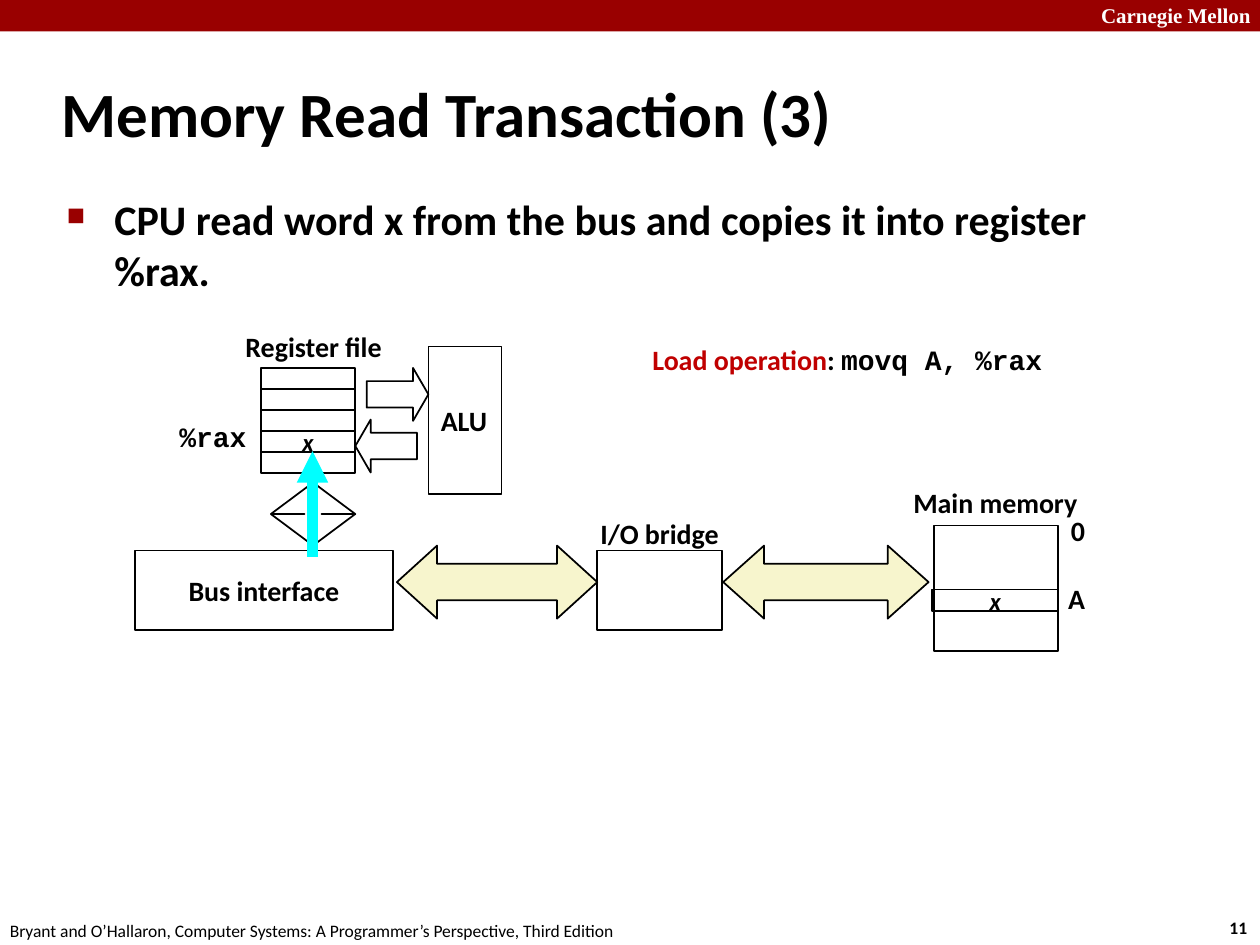
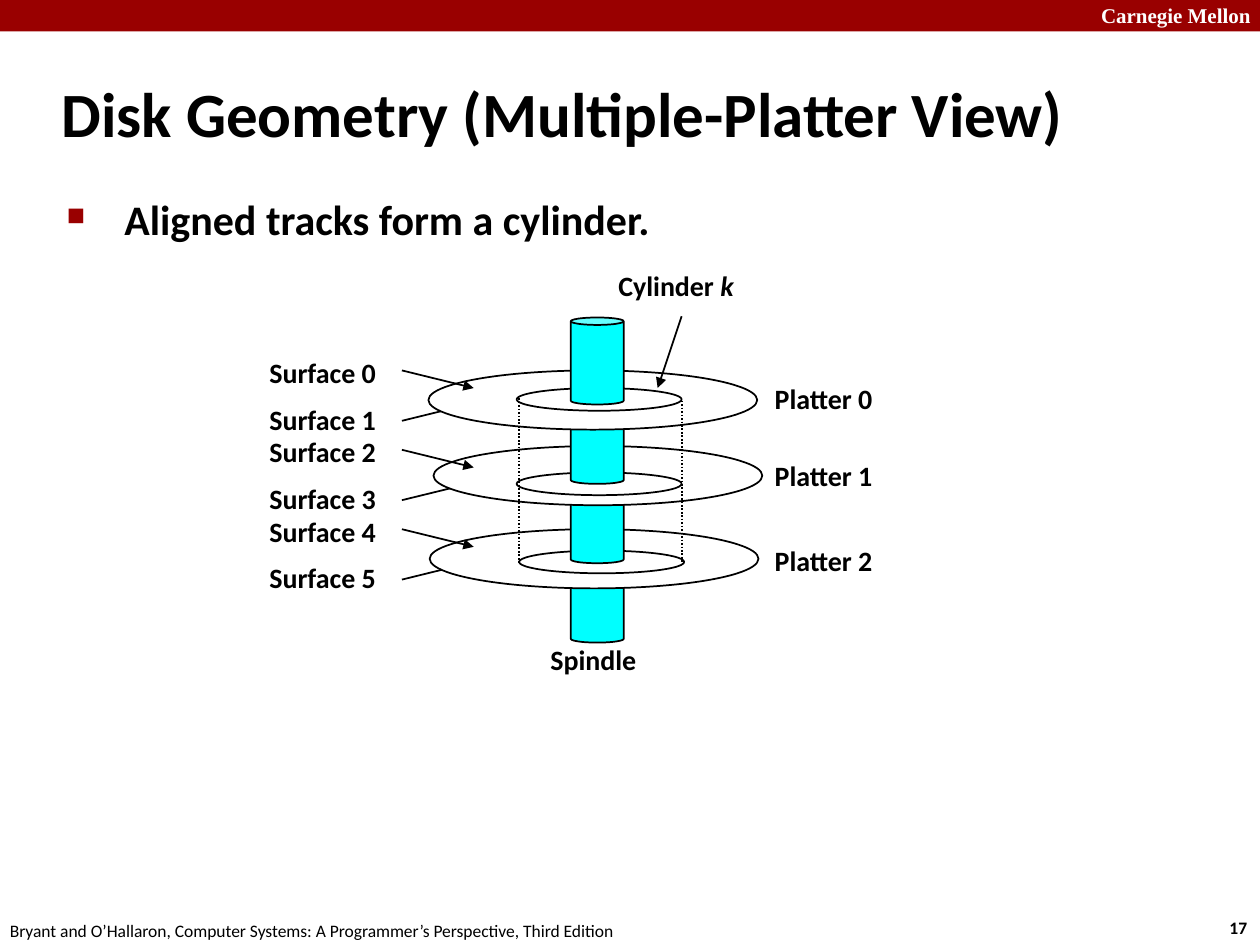
from lxml import etree
from pptx import Presentation, util as u
from pptx.dml.color import RGBColor
from pptx.enum import dml, shapes, text as t
from pptx.oxml.ns import qn

BLACK, WHITE, RED, CYAN, CREAM = "000000", "FFFFFF", "990000", "00FFFF", "F7F5CD"
KIND = shapes.MSO_SHAPE
LABEL = 0.37  # height of a diagram label
color_of = RGBColor.from_string


def write(page, words, place=None, box=None, size=16, font="Calibri", color=BLACK,
          bold=True, italic=False, align="LEFT", anchor="MIDDLE", wrap=False, bullet_indent=None):
    """Write words, or (words, changes) spans, into a box or a new text box at place."""
    if box is None:
        box = page.shapes.add_textbox(*map(u.Inches, place))
    frame = box.text_frame
    frame.word_wrap = wrap
    frame.auto_size = t.MSO_AUTO_SIZE.NONE
    frame.vertical_anchor = getattr(t.MSO_ANCHOR, anchor)
    para = frame.paragraphs[0]
    para.alignment = getattr(t.PP_ALIGN, align)
    if bullet_indent:
        props = para._p.get_or_add_pPr()
        props.set("marL", str(u.Inches(bullet_indent)))
        props.set("indent", str(-u.Inches(bullet_indent)))
        mark_color = etree.SubElement(props, qn("a:buClr"))
        etree.SubElement(mark_color, qn("a:srgbClr"), val=RED)
        etree.SubElement(props, qn("a:buSzPct"), val="60000")
        etree.SubElement(props, qn("a:buChar"), char="■")
    spans = [(words, {})] if isinstance(words, str) else words
    for content, changes in spans:
        span = para.add_run()
        span.text = content
        span.font.size = u.Pt(size)
        span.font.name = changes.get("font", font)
        span.font.bold = bold
        span.font.italic = changes.get("italic", italic)
        span.font.color.rgb = color_of(changes.get("color", color))


def draw(page, kind, place, fill=None, line=BLACK, weight=1, adjust=(), dash=None, head=False):
    """Draw a shape at left, top, width, height, or a "line" from x, y to x, y."""
    lengths = map(u.Inches, place)
    if kind == "line":
        item = page.shapes.add_connector(shapes.MSO_CONNECTOR.STRAIGHT, *lengths)
        etree.SubElement(item._element.spPr, qn("a:effectLst"))
    else:
        item = page.shapes.add_shape(kind, *lengths)
        item.shadow.inherit = False
        for index, value in enumerate(adjust):
            item.adjustments[index] = value
        if fill:
            item.fill.solid()
            item.fill.fore_color.rgb = color_of(fill)
        else:
            item.fill.background()
    if line:
        item.line.color.rgb = color_of(line)
        item.line.width = u.Pt(weight)
        if dash:
            item.line.dash_style = dash
        if head:
            etree.SubElement(item.line._get_or_add_ln(), qn("a:tailEnd"), type="triangle")
    else:
        item.line.fill.background()
    return item


deck = Presentation()
deck.slide_width, deck.slide_height = u.Inches(10), u.Inches(7.5)

# Shared band, footer, title and bullet
pages = []
for number, title, statement, indent in [
    ("11", "Memory Read Transaction (3)",
     "CPU read word x from the bus and copies it into register %rax.", 0.38),
    ("17", "Disk Geometry (Multiple-Platter View)", "Aligned tracks form a cylinder.", 0.46),
]:
    page = deck.slides.add_slide(deck.slide_layouts[6])
    draw(page, KIND.RECTANGLE, (0, 0, 10, 0.25), fill=RED, line=None)
    write(page, "Carnegie Mellon", (8.64, -0.03, 1.43, 0.3), size=12,
          font="Times New Roman", color=WHITE, wrap=True)
    write(page, number, (9.66, 7.23, 0.37, 0.27), size=10)
    write(page, "Bryant and O’Hallaron, Computer Systems: A Programmer’s Perspective, Third Edition",
          (-0.02, 7.25, 5.08, 0.27), size=10, bold=False)
    write(page, title, (0.39, 0.48, 8.3, 0.83), size=36, wrap=True)
    write(page, statement, (0.43, 1.49, 8.64, 5.44), size=24, anchor="TOP",
          wrap=True, bullet_indent=indent)
    pages.append(page)
memory_page, disk_page = pages

# Memory read: buses and I/O bridge
for left, width, tip in [(5.74, 1.63, 0.56), (3.15, 1.59, 0.55)]:
    draw(memory_page, KIND.LEFT_RIGHT_ARROW, (left, 4.33, width, 0.58), fill=CREAM,
         adjust=(0.5, tip))
draw(memory_page, KIND.RECTANGLE, (4.74, 4.37, 0.99, 0.63))

# Register file, with x in the fourth register
for row in range(5):
    register = draw(memory_page, KIND.RECTANGLE, (2.07, 2.92 + row / 6, 0.75, 0.17))
    if row == 3:
        write(memory_page, "x", box=register, size=14, italic=True, align="CENTER")

# ALU and its two arrows
draw(memory_page, KIND.RIGHT_ARROW, (2.91, 2.92, 0.49, 0.42), adjust=(0.5, 0.29))
draw(memory_page, KIND.LEFT_ARROW, (2.82, 3.33, 0.49, 0.42), adjust=(0.5, 0.29))
alu = draw(memory_page, KIND.RECTANGLE, (3.4, 2.75, 0.58, 1.17))
write(memory_page, "ALU", box=alu)

# Bus interface and the path of x into the register
draw(memory_page, KIND.UP_DOWN_ARROW, (2.15, 3.83, 0.67, 0.5), adjust=(0.5, 0.2))
interface = draw(memory_page, KIND.RECTANGLE, (1.07, 4.37, 2.05, 0.63), fill=WHITE)
write(memory_page, "Bus interface", box=interface, align="CENTER")
draw(memory_page, "line", (2.48, 4.42, 2.48, 3.58), line=CYAN, weight=6, head=True)

# Main memory
draw(memory_page, KIND.RECTANGLE, (7.41, 4.17, 0.99, 1))
word = draw(memory_page, KIND.RECTANGLE, (7.4, 4.68, 1, 0.17))
write(memory_page, "x", box=word, size=14, italic=True, align="CENTER")

# Labels
for label, left, top, width, style in [
    ("Register file", 1.85, 2.56, 1.3, {}),
    ("Main memory", 7.08, 3.8, 1.64, {"align": "CENTER"}),
    ("0", 8.4, 4.02, 0.32, {}),
    ("A", 8.38, 4.56, 0.34, {}),
    ("%rax", 1.32, 3.28, 0.74, {"font": "Courier New", "align": "CENTER"}),
    ("I/O bridge", 4.66, 4.05, 1.15, {"align": "CENTER"}),
    ([("Load operation", {"color": "C00000"}), (": ", {}),
      ("movq A, %rax", {"font": "Courier New"})], 5.08, 2.67, 3.34, {}),
]:
    write(memory_page, label, (left, top, width, LABEL), **style)

# Disk: platters stacked from the bottom up, a spindle section above each
SPINDLE_LEFT, SPINDLE_SIZE, SPINDLE_RIM = 4.53, (0.42, 0.69), (0.14,)
STEP = 0.63
draw(disk_page, KIND.CAN, (SPINDLE_LEFT, 4.41, *SPINDLE_SIZE), fill=CYAN, adjust=SPINDLE_RIM)
for platter, platter_at, track_at, label_top in [
    (2, (3.41, 4.2), (4.12, 4.37), 4.26),
    (1, (3.44, 3.54), (4.1, 3.75), 3.59),
    (0, (3.4, 2.94), (4.1, 3.08), 2.98),
]:
    top = 2.94 + STEP * platter
    draw(disk_page, "line", (3.19, top + 0.4, 3.76, top + 0.26), head=True)
    draw(disk_page, KIND.OVAL, (*platter_at, 2.61, 0.47), fill=WHITE)
    draw(disk_page, KIND.OVAL, (*track_at, 1.31, 0.18))
    draw(disk_page, KIND.CAN, (SPINDLE_LEFT, top - 0.42, *SPINDLE_SIZE), fill=CYAN,
         adjust=SPINDLE_RIM)
    draw(disk_page, "line", (3.19, top, 3.76, top + 0.14), head=True)
    write(disk_page, f"Surface {2 * platter}", (2.04, top - 0.17, 1.06, LABEL))
    write(disk_page, f"Surface {2 * platter + 1}", (2.04, top + 0.2, 1.06, LABEL))
    write(disk_page, f"Platter {platter}", (6.05, label_top, 0.99, LABEL))

# Cylinder edges and its label
for x, top, bottom in [(4.12, 3.16, 4.47), (5.41, 3.18, 4.48)]:
    draw(disk_page, "line", (x, top, x, bottom), dash=dml.MSO_LINE.ROUND_DOT)
draw(disk_page, "line", (5.41, 2.51, 5.22, 3.08), head=True)
write(disk_page, [("Cylinder ", {}), ("k", {"italic": True})], (4.81, 2.08, 1.13, LABEL))
write(disk_page, "Spindle", (4.27, 5.05, 0.89, LABEL))

deck.save("out.pptx")
